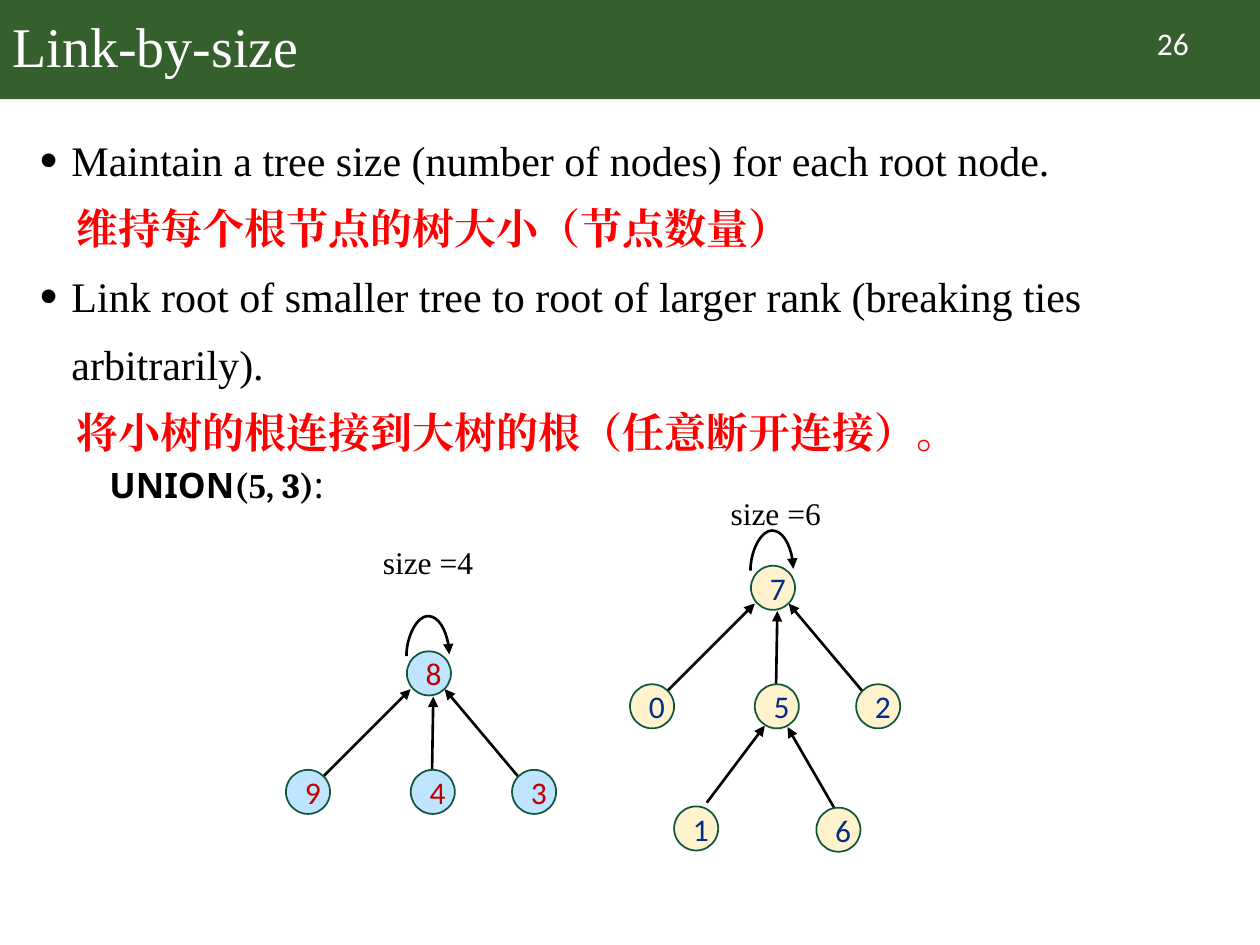
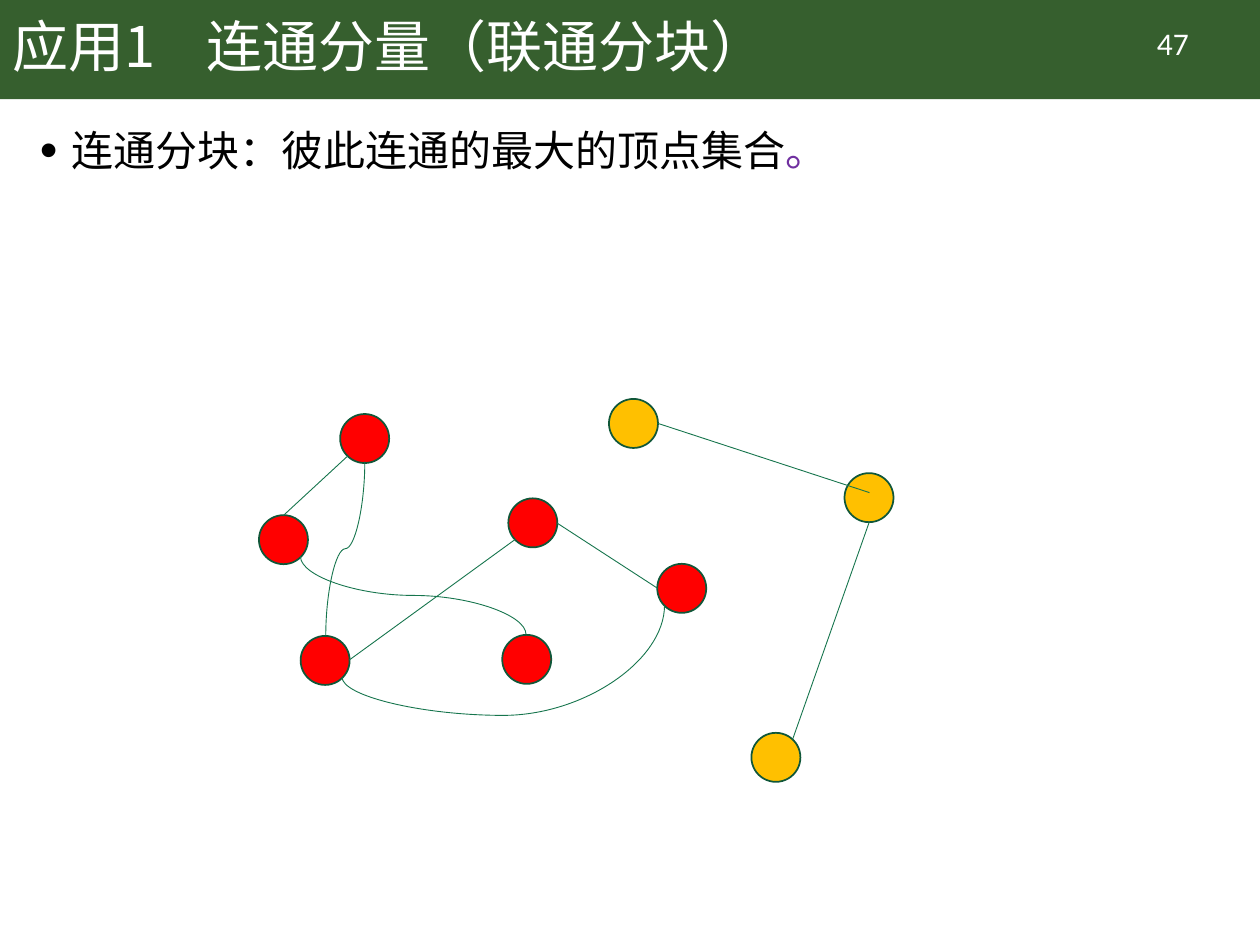
from lxml import etree
from pptx import Presentation
from pptx.dml.color import RGBColor
from pptx.enum import shapes, text
from pptx.oxml import ns
from pptx.util import Pt

color = RGBColor.from_string
SERIF, SANS, CJK = "Times New Roman", "Noto Sans", "Noto Sans CJK SC"
BLACK, WHITE, RED = "000000", "FFFFFF", "FF0000"
BAND, OUTLINE, EDGE = "365F2E", "105739", "16754D"
LEFT, CENTER = text.PP_ALIGN.LEFT, text.PP_ALIGN.CENTER


def write(para, words, font=SERIF, size=18, fill=BLACK, bold=False):
    span = para.add_run()
    span.text = words
    span.font.name = font
    span.font.size = Pt(size)
    span.font.bold = bold
    span.font.color.rgb = color(fill)
    east = etree.SubElement(span.font._element, ns.qn("a:ea"))
    east.set("typeface", font)


def connect(page, begin, end, fill=BLACK, width=1.5, arrow=True, turn=None, flips="", bend=50000):
    kind = shapes.MSO_CONNECTOR.STRAIGHT if turn is None else shapes.MSO_CONNECTOR.CURVE
    link = page.shapes.add_connector(kind, *[Pt(value) for value in (*begin, *end)])
    link.line.color.rgb = color(fill)
    link.line.width = Pt(width)
    props = link._element.spPr
    if arrow:
        etree.SubElement(link.line._ln, ns.qn("a:tailEnd")).set("type", "triangle")
    etree.SubElement(props, ns.qn("a:effectLst"))
    if turn is not None:
        frame = props.find(ns.qn("a:xfrm"))
        frame.set("rot", str(turn * 60000))
        for flip in flips:
            frame.set("flip" + flip, "1")
        guides = props.find(ns.qn("a:prstGeom")).find(ns.qn("a:avLst"))
        guide = etree.SubElement(guides, ns.qn("a:gd"))
        guide.set("name", "adj1")
        guide.set("fmla", f"val {bend}")


deck = Presentation()
deck.slide_width, deck.slide_height = Pt(720), Pt(540)
link_page, graph_page = [deck.slides.add_slide(deck.slide_layouts[6]) for _ in range(2)]

for page, title, font, number in [
    (link_page, "Link-by-size", SERIF, "26"),
    (graph_page, "应用1\t连通分量（联通分块）", CJK, "47"),
]:
    band = page.shapes.add_shape(shapes.MSO_SHAPE.RECTANGLE, 0, 0, Pt(720), Pt(56.6))
    band.shadow.inherit = False
    band.fill.solid()
    band.fill.fore_color.rgb = color(BAND)
    band.line.fill.background()

    box = page.shapes.add_textbox(0, 0, Pt(620.6), Pt(56.6))
    box.text_frame.word_wrap = True
    box.text_frame.vertical_anchor = text.MSO_ANCHOR.MIDDLE
    para = box.text_frame.paragraphs[0]
    para.line_spacing = 0.9
    if "\t" in title:
        tabs = etree.SubElement(para._p.get_or_add_pPr(), ns.qn("a:tabLst"))
        stop = etree.SubElement(tabs, ns.qn("a:tab"))
        stop.set("pos", str(Pt(111)))
        stop.set("algn", "l")
    write(para, title, font, 32, WHITE)

    box = page.shapes.add_textbox(Pt(627), Pt(10), Pt(86.4), Pt(28.8))
    box.text_frame.word_wrap = True
    para = box.text_frame.paragraphs[0]
    para.alignment = CENTER
    write(para, number, "Calibri", 18, WHITE)

link_points = [
    (True, [("Maintain a tree size (number of nodes) for each root node.", SERIF, BLACK)]),
    (False, [("维持每个根节点的树大小（节点数量）", SERIF, RED)]),
    (True, [("Link root of smaller tree to root of larger rank (breaking ties arbitrarily).", SERIF, BLACK)]),
    (False, [("将小树的根连接到大树的根（任意断开连接）。", SERIF, RED)]),
]
graph_points = [
    (True, [("连通分块：彼此连通的最大的顶点集合", CJK, BLACK), ("。", CJK, "7030A0")]),
]
for page, points, spacing in [(link_page, link_points, 1.35), (graph_page, graph_points, 1.15)]:
    box = page.shapes.add_textbox(Pt(15.8), Pt(63.4), Pt(689), Pt(465.8))
    box.text_frame.word_wrap = True
    for index, (bulleted, spans) in enumerate(points):
        para = box.text_frame.add_paragraph() if index else box.text_frame.paragraphs[0]
        para.line_spacing = spacing
        props = para._p.get_or_add_pPr()
        props.set("marL", str(Pt(18 if bulleted else 21)))
        props.set("indent", str(Pt(-18 if bulleted else 0)))
        if bulleted:
            tint = etree.SubElement(props, ns.qn("a:buClr"))
            etree.SubElement(tint, ns.qn("a:srgbClr")).set("val", BLACK)
            for tag, name, value in [
                ("a:buSzPct", "val", "120000"),
                ("a:buFont", "typeface", "Arial"),
                ("a:buChar", "char", "•"),
            ]:
                etree.SubElement(props, ns.qn(tag)).set(name, value)
        for words, font, fill in spans:
            write(para, words, font, 24, fill, bold=not bulleted)

box = link_page.shapes.add_textbox(Pt(55.4), Pt(261.4), Pt(225.4), Pt(41))
box.text_frame.word_wrap = True
for words, font, bold in [
    ("UNION", SANS, True),
    ("(", "Cambria", True),
    ("5", SERIF, True),
    (", 3)", "Cambria", True),
    (":", SANS, False),
]:
    write(box.text_frame.paragraphs[0], words, font, 20, bold=bold)

for words, left, top in [("size =6", 410.4, 278.6), ("size =4", 211.7, 306.7)]:
    box = link_page.shapes.add_textbox(Pt(left), Pt(top), Pt(67), Pt(28.8))
    box.text_frame.word_wrap = False
    write(box.text_frame.paragraphs[0], words)

child_spots = [(-69.1, 67.7), (2.2, 67.7), (60.1, 67.7), (0, 0)]
child_arrows = [
    ((14.4, 67.7), (15.1, 25.9)),
    ((-47.5, 71.3), (2.2, 21.6)),
    ((63.4, 71.3), (21.6, 21.6)),
]
leaf_spots = [(-43.9, 137.5), (37.4, 138.2)]
leaf_arrows = [((-25.2, 135.4), (7.9, 91.4)), ((47.5, 138.2), (20.9, 92.2))]

nodes = []
for x, y, labels, fill, ink, spots, arrows in [
    (232.5, 372.2, "9438", "BFE4FF", "C00000", child_spots, child_arrows),
    (429.1, 323.3, "052716", "FFF2CC", "002E89", child_spots + leaf_spots, child_arrows + leaf_arrows),
]:
    for label, (dx, dy) in zip(labels, spots):
        nodes.append((link_page, x + dx, y + dy, 25.2, fill, label, ink))
    for begin, end in arrows:
        connect(link_page, (x + begin[0], y + begin[1]), (x + end[0], y + end[1]))
    connect(link_page, (x + 11.5, y - 10), (x + 12.5, y + 14.5), turn=90, flips="HV", bend=2306900)

for fill, spots in [
    (RED, [(194.4, 236.6), (148, 294.4), (171.8, 363.4), (287, 362.8), (290.5, 284.8), (375.6, 322.2)]),
    ("FFC000", [(429.4, 418.8), (482.6, 270.4), (348, 228)]),
]:
    for x, y in spots:
        nodes.append((graph_page, x, y, 28, fill, "", BLACK))

for page, x, y, size, fill, label, ink in nodes:
    node = page.shapes.add_shape(shapes.MSO_SHAPE.OVAL, Pt(x), Pt(y), Pt(size), Pt(size))
    node.shadow.inherit = False
    node.fill.solid()
    node.fill.fore_color.rgb = color(fill)
    node.line.color.rgb = color(OUTLINE)
    node.line.width = Pt(1)
    if label:
        para = node.text_frame.paragraphs[0]
        para.alignment = CENTER
        write(para, label, "Calibri", 18, ink)

for begin, end in [
    ((198.7, 260.6), (162, 294.5)),
    ((199.4, 377.3), (294.5, 308.2)),
    ((375.8, 241.9), (496.8, 281.5)),
    ((496.8, 298.1), (452.9, 422.6)),
    ((318.2, 298.8), (375.8, 336.2)),
]:
    connect(graph_page, begin, end, EDGE, 0.5, arrow=False)

for begin, end, turn, flips, bend in [
    ((147.6, 302.4), (247, 324.7), 90, "", 50000),
    ((213.8, 275.8), (258.4, 404.7), 270, "H", 50000),
    ((267.1, 274.3), (308.1, 458.6), 90, "HV", -53500),
]:
    connect(graph_page, begin, end, EDGE, 0.5, arrow=False, turn=turn, flips=flips, bend=bend)

deck.save("out.pptx")
